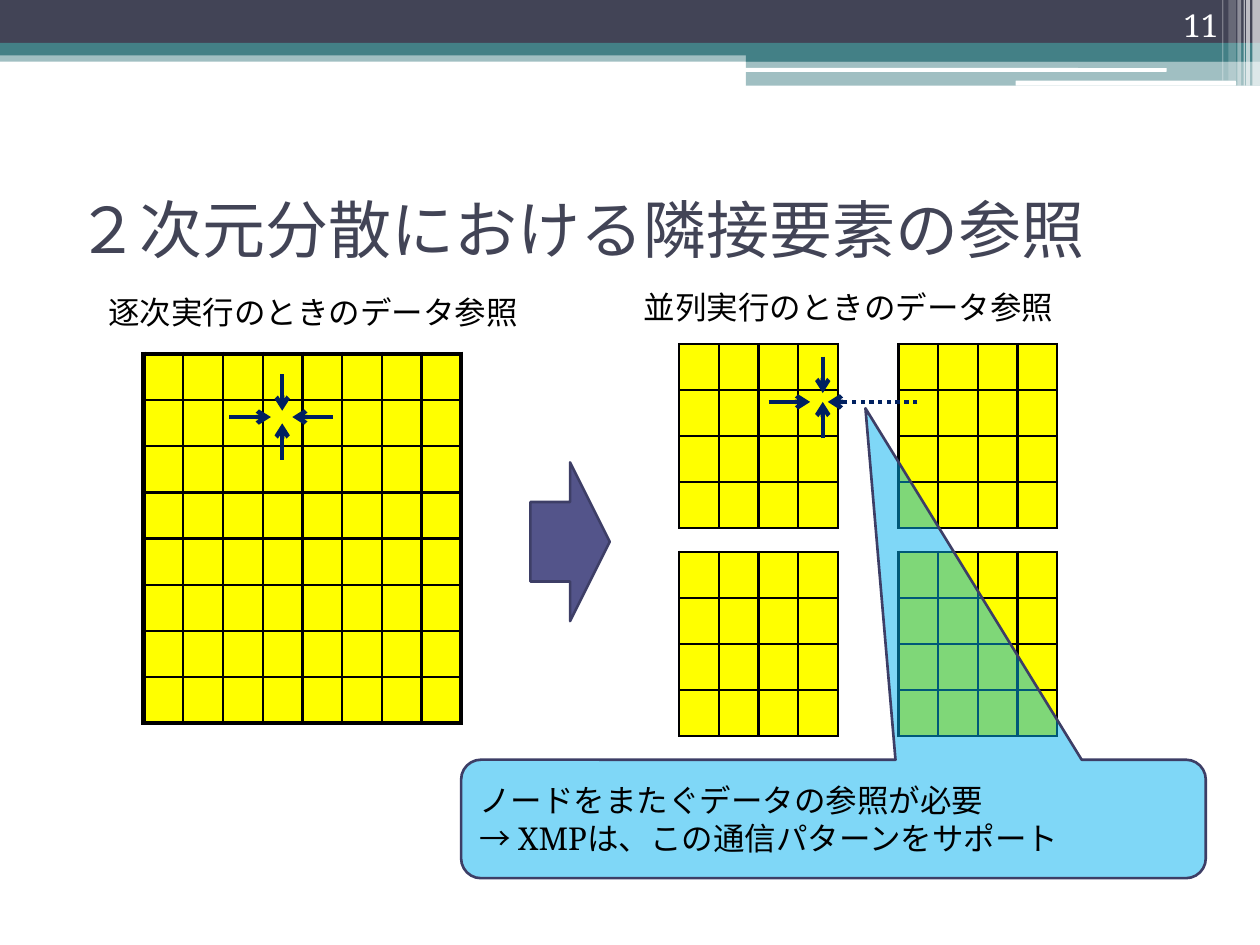
from lxml import etree
from pptx import Presentation
from pptx.dml.color import RGBColor
from pptx.enum import dml, shapes, text
from pptx.oxml import ns
from pptx.util import Inches, Pt

SERIF = "Noto Serif"
NAVY, TEAL, WHITE, BLACK = "424456", "438086", "FFFFFF", "000000"
YELLOW, ARROW_BLUE, OUTLINE = "FFFF00", "002060", "3D3E66"
KIND = shapes.MSO_SHAPE


def rgb(value):
    """Turn a hex string into a colour."""
    return RGBColor.from_string(value)


def add_xml(parent, tag, **attributes):
    """Append a drawing element to a parent."""
    return etree.SubElement(parent, ns.qn(tag), attributes)


def add_box(slide, kind, box, fill, alpha=100, line=None):
    """Add a filled preset shape, with opacity in percent."""
    shape = slide.shapes.add_shape(kind, *map(Inches, box))
    shape.shadow.inherit = False
    shape.fill.solid()
    shape.fill.fore_color.rgb = rgb(fill)
    if alpha < 100:
        color = shape.fill._xPr.find(".//" + ns.qn("a:srgbClr"))
        add_xml(color, "a:alpha", val=str(alpha * 1000))
    if line:
        shape.line.color.rgb = rgb(line)
        shape.line.width = Pt(1.5)
    else:
        shape.line.fill.background()
    return shape


def write(frame, words, size=18, font=SERIF, color=BLACK,
          align=text.PP_ALIGN.LEFT, **frame_format):
    """Fill a text frame with one formatted paragraph."""
    for name, value in frame_format.items():
        setattr(frame, name, value)
    frame.text = words
    paragraph = frame.paragraphs[0]
    paragraph.alignment = align
    for run in paragraph.runs:
        for name, value in {"size": Pt(size), "name": font}.items():
            setattr(run.font, name, value)
        run.font.color.rgb = rgb(color)


def add_header(slide, width, number):
    """Draw the top band, its stripes and the page number."""
    half = 5.92
    for left, top, wide, high, fill, alpha in [
        (0, 0.4, width, 0.09, TEAL, 50),
        (0, 0, width, 0.34, NAVY, 100),
        (0, 0.34, width, 0.1, TEAL, 100),
        (half, 0.39, width - half, 0.1, TEAL, 100),
        (half, 0.48, width - half, 0.2, TEAL, 50),
    ]:
        add_box(slide, KIND.RECTANGLE, (left, top, wide, high), fill, alpha)
    for box in [(5.91, 0.54, 3.35, 0.03), (8.06, 0.64, 1.75, 0.04)]:
        add_box(slide, KIND.ROUNDED_RECTANGLE, box, WHITE)
    for from_right, wide, high, alpha in [
        (0.06, 0.06, 0.68, 65), (0.11, 0.03, 0.68, 65), (0.13, 0.01, 0.68, 60),
        (0.18, 0.03, 0.68, 40), (0.25, 0.06, 0.64, 20), (0.3, 0.01, 0.64, 30),
    ]:
        stripe = (width - from_right, 0, wide, high)
        add_box(slide, KIND.RECTANGLE, stripe, WHITE, alpha)
    page = slide.shapes.add_textbox(*map(Inches, (8.94, 0, 0.83, 0.4)))
    write(page.text_frame, number, color=WHITE, align=text.PP_ALIGN.RIGHT,
          word_wrap=True, vertical_anchor=text.MSO_ANCHOR.BOTTOM)


def add_title(slide, box, words):
    """Move and fill the title placeholder."""
    title = slide.shapes.title
    for name, value in zip(("left", "top", "width", "height"), box):
        setattr(title, name, Inches(value))
    write(title.text_frame, words, 36, "Open Sans", NAVY,
          vertical_anchor=text.MSO_ANCHOR.MIDDLE)


def add_grid(slide, box, count, edge=1.5):
    """Add a square yellow cell grid whose outer border is edge points."""
    table = slide.shapes.add_table(count, count, *map(Inches, box)).table
    table.first_row = table.horz_banding = False
    for column, row in zip(table.columns, table.rows):
        column.width = Inches(box[2] / count)
        row.height = Inches(box[3] / count)
    last = count - 1
    for index, cell in enumerate(table.iter_cells()):
        row, column = divmod(index, count)
        for side in ("left", "right", "top", "bottom"):
            setattr(cell, "margin_" + side, 0)
        properties = cell._tc.get_or_add_tcPr()
        for side, outer in {"L": column == 0, "R": column == last,
                            "T": row == 0, "B": row == last}.items():
            border = add_xml(properties, "a:ln" + side,
                             w=str(Pt(edge if outer else 1.5)))
            add_xml(add_xml(border, "a:solidFill"), "a:srgbClr", val=BLACK)
        cell.fill.solid()
        cell.fill.fore_color.rgb = rgb(YELLOW)


def add_stencil(slide, x, y, arms):
    """Draw arrows pointing at the cell x, y; arms hold offsets from it."""
    for start_x, start_y, end_x, end_y, dash in arms:
        arrow = slide.shapes.add_connector(
            shapes.MSO_CONNECTOR.STRAIGHT,
            *map(Inches, (x + start_x, y + start_y, x + end_x, y + end_y)))
        arrow.line.color.rgb = rgb(ARROW_BLUE)
        arrow.line.width = Pt(2.5)
        if dash:
            arrow.line.dash_style = dash
        add_xml(arrow.line._get_or_add_ln(), "a:tailEnd", type="arrow")
        add_xml(arrow._element.spPr, "a:effectLst")


def add_caption(slide, left, top, words):
    """Add the caption above a grid."""
    caption = slide.shapes.add_textbox(*map(Inches, (left, top, 3.48, 0.4)))
    write(caption.text_frame, words, word_wrap=False,
          auto_size=text.MSO_AUTO_SIZE.SHAPE_TO_FIT_TEXT)


def add_sequential(slide, left, top):
    """Draw the undivided array and its neighbour references."""
    add_grid(slide, (left, top, 2.52, 2.93), 8, edge=3)
    add_stencil(slide, left + 1.1, top + 0.5, [
        (0, -0.34, 0, -0.05, None), (0, 0.34, 0, 0.05, None),
        (-0.42, 0, -0.09, 0, None), (0.4, 0, 0.08, 0, None)])
    add_caption(slide, left - 0.38, top - 0.53, "逐次実行のときのデータ参照")


def add_parallel(slide, left, top):
    """Draw the array split over four nodes, the callout and references."""
    for down in (0, 1.65):
        for across in (0, 1.74):
            add_grid(slide, (left + across, top + down, 1.26, 1.46), 4)
    callout = add_box(slide, KIND.ROUNDED_RECTANGULAR_CALLOUT,
                      (left - 1.73, top + 3.3, 5.91, 0.94),
                      "00B0F0", 50, OUTLINE)
    for index, value in enumerate((0.043, -3.467, 0.167)):
        callout.adjustments[index] = value
    write(callout.text_frame,
          "ノードをまたぐデータの参照が必要\v→ XMPは、この通信パターンをサポート",
          vertical_anchor=text.MSO_ANCHOR.MIDDLE)
    add_stencil(slide, left + 1.14, top + 0.46, [
        (0, -0.36, 0, -0.07, None), (0, 0.29, 0, 0, None),
        (-0.43, 0, -0.1, 0, None),
        (0.75, 0, 0.04, 0, dml.MSO_LINE.ROUND_DOT)])
    add_caption(slide, left - 0.38, top - 0.49, "並列実行のときのデータ参照")


def main():
    """Build the slide and save it."""
    deck = Presentation()
    deck.slide_width, deck.slide_height = Inches(10), Inches(7.5)
    slide = deck.slides.add_slide(deck.slide_layouts[5])
    add_header(slide, 10, "11")
    add_title(slide, (0.51, 1.23, 9, 1.17), "２次元分散における隣接要素の参照")
    add_sequential(slide, 1.14, 2.81)
    add_box(slide, KIND.RIGHT_ARROW, (4.21, 3.67, 0.63, 1.26),
            "53548A", line=OUTLINE)
    add_parallel(slide, 5.39, 2.73)
    deck.save("out.pptx")


main()
